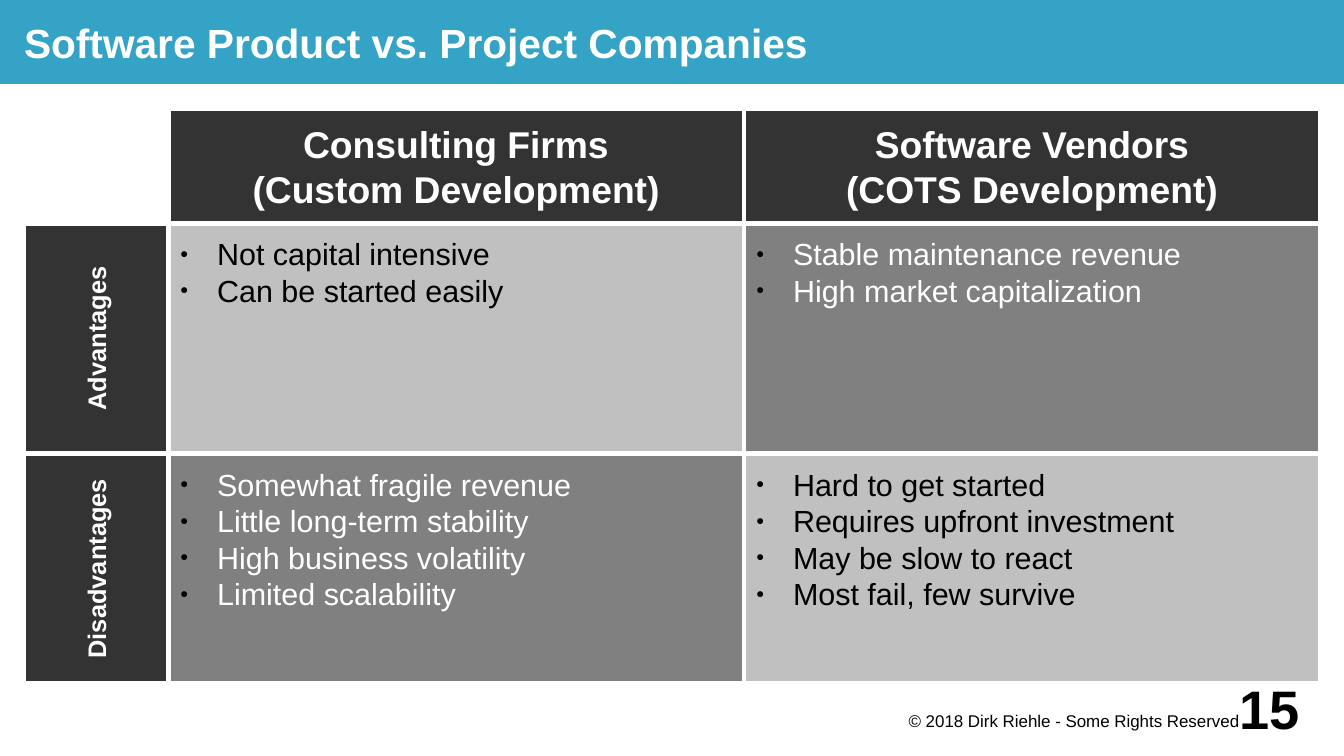
from dataclasses import dataclass

from lxml import etree
from pptx import Presentation
from pptx.dml.color import RGBColor
from pptx.enum.shapes import MSO_SHAPE
from pptx.enum.text import MSO_ANCHOR, PP_ALIGN
from pptx.oxml.ns import qn
from pptx.slide import Slide
from pptx.text.text import TextFrame, _Paragraph
from pptx.util import Pt

RECT = MSO_SHAPE.RECTANGLE
TOP, MIDDLE = MSO_ANCHOR.TOP, MSO_ANCHOR.MIDDLE
LEFT, CENTER, RIGHT = PP_ALIGN.LEFT, PP_ALIGN.CENTER, PP_ALIGN.RIGHT


@dataclass(frozen=True)
class Theme:
    font: str = "Arial"
    white: str = "FFFFFF"
    black: str = "000000"
    banner: str = "34A3C5"
    dark: str = "333333"
    mid: str = "808080"
    light: str = "C0C0C0"
    title: float = 24
    header: float = 22
    body: float = 18
    label: float = 15
    footer: float = 10
    number: float = 32
    border: float = 2.83
    bullet_indent: float = 21.8


@dataclass(frozen=True)
class Box:
    left: float
    top: float
    width: float
    height: float


@dataclass(frozen=True)
class Style:
    size: float
    color: str
    bold: bool = False
    align: PP_ALIGN = LEFT
    anchor: MSO_ANCHOR = MIDDLE
    margins: tuple[float, float, float, float] = (0, 0, 0, 0)
    bullets: bool = False


@dataclass(frozen=True)
class Quadrant:
    row: int
    col: int
    fill: str
    color: str
    items: tuple[str, ...]


THEME = Theme()
WIDTH, HEIGHT = 793.44, 446.4
GRID_LEFT, GRID_TOP = 99.3, 64
COL_W, ROW_H = 340, 136
HEADER_H, LABEL_W = 67.8, 85.2
ROWS_TOP = GRID_TOP + HEADER_H
PADDING = (7.2, 3.6, 7.2, 3.6)

HEADERS = (
    ("Consulting Firms", "(Custom Development)"),
    ("Software Vendors", "(COTS Development)"),
)
LABELS = ("Advantages", "Disadvantages")
QUADRANTS = (
    Quadrant(0, 0, THEME.light, THEME.black,
             ("Not capital intensive", "Can be started easily")),
    Quadrant(0, 1, THEME.mid, THEME.white,
             ("Stable maintenance revenue", "High market capitalization")),
    Quadrant(1, 0, THEME.mid, THEME.white,
             ("Somewhat fragile revenue", "Little long-term stability",
              "High business volatility", "Limited scalability")),
    Quadrant(1, 1, THEME.light, THEME.black,
             ("Hard to get started", "Requires upfront investment",
              "May be slow to react", "Most fail, few survive")),
)


def add_bullet(p: _Paragraph) -> None:
    """Give a paragraph a small black bullet with a hanging indent."""
    props = p._p.get_or_add_pPr()
    indent = Pt(THEME.bullet_indent)
    props.set("marL", str(indent))
    props.set("indent", str(-indent))
    color = etree.SubElement(props, qn("a:buClr"))
    etree.SubElement(color, qn("a:srgbClr"), val=THEME.black)
    etree.SubElement(props, qn("a:buSzPct"), val="45000")
    etree.SubElement(props, qn("a:buFont"), typeface=THEME.font)
    etree.SubElement(props, qn("a:buChar"), char="●")


def write(tf: TextFrame, lines: tuple[str, ...], style: Style) -> None:
    """Fill a text frame with one styled paragraph per line."""
    left, top, right, bottom = style.margins
    frame_format = {
        "word_wrap": True, "vertical_anchor": style.anchor,
        "margin_left": Pt(left), "margin_top": Pt(top),
        "margin_right": Pt(right), "margin_bottom": Pt(bottom),
    }
    for name, value in frame_format.items():
        setattr(tf, name, value)
    font_format = {"name": THEME.font, "size": Pt(style.size), "bold": style.bold}
    for i, line in enumerate(lines):
        p = tf.paragraphs[0] if i == 0 else tf.add_paragraph()
        p.alignment = style.align
        if style.bullets:
            add_bullet(p)
        r = p.add_run()
        r.text = line
        for name, value in font_format.items():
            setattr(r.font, name, value)
        r.font.color.rgb = RGBColor.from_string(style.color)


def add_panel(s: Slide, box: Box, fill: str, lines: tuple[str, ...],
              style: Style, border: bool = True, rotation: float = 0) -> None:
    """Draw a filled rectangle with text."""
    sp = s.shapes.add_shape(RECT, Pt(box.left), Pt(box.top), Pt(box.width), Pt(box.height))
    sp.shadow.inherit = False
    sp.rotation = rotation
    sp.fill.solid()
    sp.fill.fore_color.rgb = RGBColor.from_string(fill)
    if border:
        sp.line.color.rgb = RGBColor.from_string(THEME.white)
        sp.line.width = Pt(THEME.border)
    else:
        sp.line.fill.background()
    write(sp.text_frame, lines, style)


def add_text(s: Slide, box: Box, text: str, style: Style) -> None:
    """Place a text box with a single line."""
    sp = s.shapes.add_textbox(Pt(box.left), Pt(box.top), Pt(box.width), Pt(box.height))
    write(sp.text_frame, (text,), style)


def add_matrix(s: Slide) -> None:
    """Draw the quadrants with their row labels and column headers."""
    for q in QUADRANTS:
        box = Box(GRID_LEFT + q.col * COL_W, ROWS_TOP + q.row * ROW_H, COL_W, ROW_H)
        style = Style(THEME.body, q.color, anchor=TOP,
                      margins=(7.2, 7.2, 0, 0), bullets=True)
        add_panel(s, box, q.fill, q.items, style)
    label_style = Style(THEME.label, THEME.white, True, CENTER, margins=PADDING)
    label_left = GRID_LEFT - (LABEL_W + ROW_H) / 2
    for row, label in enumerate(LABELS):
        label_top = ROWS_TOP + row * ROW_H + (ROW_H - LABEL_W) / 2
        box = Box(label_left, label_top, ROW_H, LABEL_W)
        add_panel(s, box, THEME.dark, (label,), label_style, rotation=270)
    header_style = Style(THEME.header, THEME.white, True, CENTER, margins=PADDING)
    for col, header in enumerate(HEADERS):
        box = Box(GRID_LEFT + col * COL_W, GRID_TOP, COL_W, HEADER_H)
        add_panel(s, box, THEME.dark, header, header_style)


def main() -> None:
    """Build the slide and save it."""
    prs = Presentation()
    prs.slide_width, prs.slide_height = Pt(WIDTH), Pt(HEIGHT)
    s = prs.slides.add_slide(prs.slide_layouts[6])
    add_panel(s, Box(0, 0, WIDTH, 49.6), THEME.banner,
              ("Software Product vs. Project Companies",),
              Style(THEME.title, THEME.white, True, margins=(14.2, 0, 0, 0)),
              border=False)
    add_matrix(s)
    add_text(s, Box(510.4, 418.2, 226.8, 21.6), "© 2018 Dirk Riehle - Some Rights Reserved",
             Style(THEME.footer, THEME.black, align=RIGHT, anchor=TOP,
                   margins=(0, 1.4, 5.8, 0)))
    add_text(s, Box(710.9, 396.8, 56.7, 42.5), "15",
             Style(THEME.number, THEME.black, True, RIGHT))
    prs.save("out.pptx")


if __name__ == "__main__":
    main()
